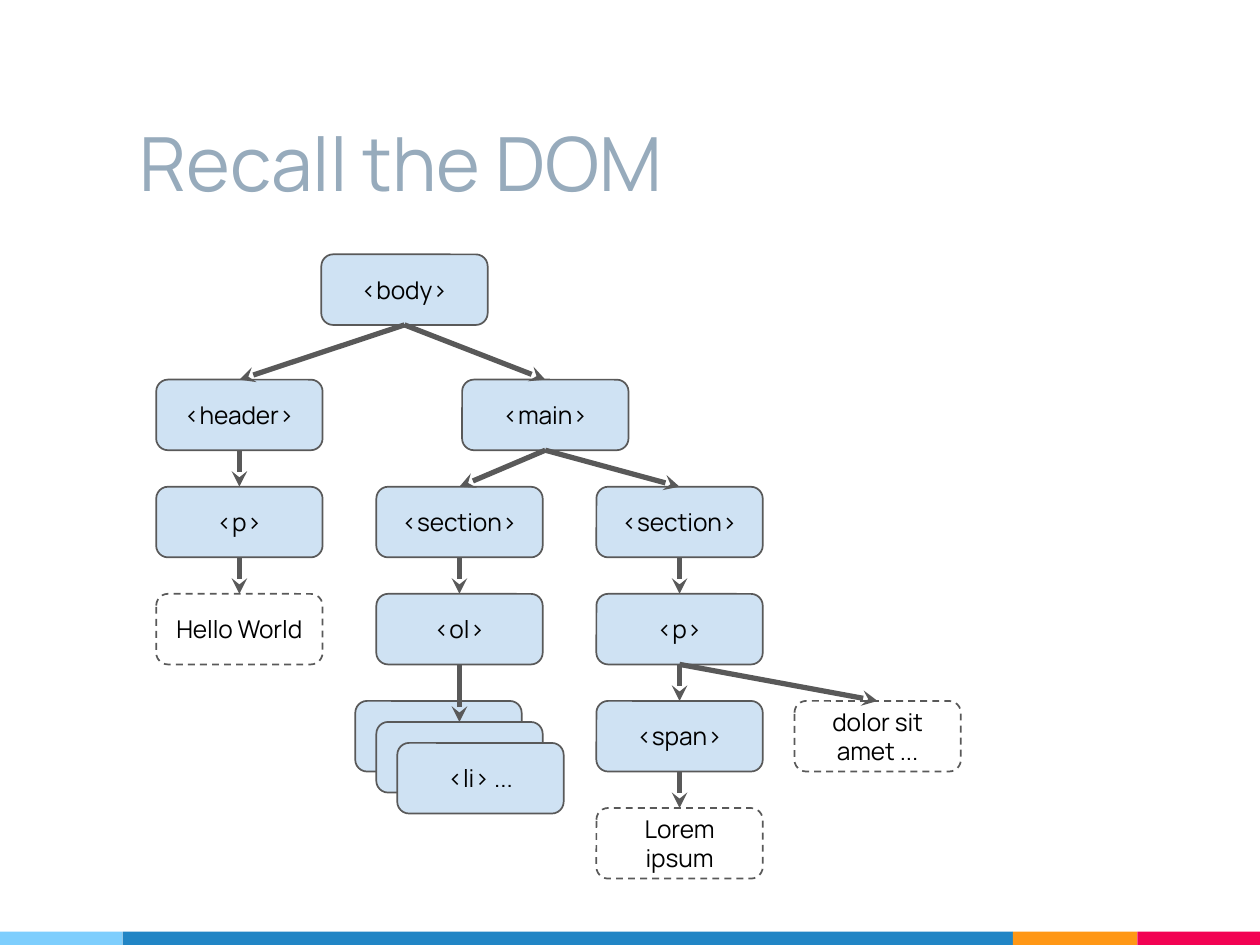
from lxml import etree
from pptx import Presentation
from pptx.dml.color import RGBColor
from pptx.enum.dml import MSO_LINE
from pptx.enum.shapes import MSO_CONNECTOR, MSO_SHAPE
from pptx.enum.text import MSO_ANCHOR, PP_ALIGN
from pptx.oxml.ns import qn
from pptx.util import Inches, Pt

RECTANGLE = MSO_SHAPE.RECTANGLE
ROUNDED = MSO_SHAPE.ROUNDED_RECTANGLE
STRAIGHT = MSO_CONNECTOR.STRAIGHT
DASH = MSO_LINE.DASH
MIDDLE, BOTTOM_ANCHOR = MSO_ANCHOR.MIDDLE, MSO_ANCHOR.BOTTOM
CENTER, LEFT = PP_ALIGN.CENTER, PP_ALIGN.LEFT
TOP_SIDE, BOTTOM_SIDE = 0, 2

SKY = RGBColor(0x7E, 0xCE, 0xFD)
BLUE = RGBColor(0x21, 0x85, 0xC5)
ORANGE = RGBColor(0xFF, 0x97, 0x15)
CRIMSON = RGBColor(0xF2, 0x02, 0x53)
PALE_BLUE = RGBColor(0xCF, 0xE2, 0xF3)
GRAY = RGBColor(0x59, 0x59, 0x59)
SLATE = RGBColor(0x97, 0xAB, 0xBC)
BLACK = RGBColor(0x00, 0x00, 0x00)

FONT = "Manrope"
SLIDE_W = 7.5
SLIDE_H = SLIDE_W * 3 / 4
TREE_LEFT, TREE_TOP = 0.93, 2.26
COLUMN, ROW = 1.31, 2.55 / 4
NODE_W, NODE_H = 0.99, 0.42
STACK_STEP = 1 / 8
BAND_H = 0.08

ELEMENTS = {
    "body": ("<body>", 0.75, -1.17),
    "header": ("<header>", 0, 0),
    "main": ("<main>", 1.39, 0),
    "header p": ("<p>", 0, 1),
    "left section": ("<section>", 1, 1),
    "right section": ("<section>", 2, 1),
    "ol": ("<ol>", 1, 2),
    "section p": ("<p>", 2, 2),
    "span": ("<span>", 2, 3),
}
TEXT_NODES = {
    "hello": ("Hello World", 0, 2),
    "lorem": ("Lorem ipsum", 2, 4),
    "dolor": ("dolor sit amet ...", 2.9, 3),
}
LIST_ITEMS = ["", "", "<li> ..."]
EDGES = [
    ("body", "header"), ("header", "header p"), ("header p", "hello"),
    ("body", "main"), ("main", "left section"), ("left section", "ol"),
    ("ol", "li 1"), ("main", "right section"),
    ("right section", "section p"), ("section p", "span"),
    ("section p", "dolor"), ("span", "lorem"),
]
BANDS = [(SKY, 0, 0.73), (BLUE, 0.73, 6.03), (ORANGE, 6.03, 6.77), (CRIMSON, 6.77, SLIDE_W)]


def style_text(frame, size, color, align, anchor, inset):
    frame.word_wrap = True
    frame.vertical_anchor = anchor
    frame.margin_left = frame.margin_right = Inches(inset)
    frame.margin_top = frame.margin_bottom = Inches(inset)
    for paragraph in frame.paragraphs:
        paragraph.alignment = align
        for run in paragraph.runs:
            run.font.name = FONT
            run.font.size = Pt(size)
            run.font.color.rgb = color


def add_title(slide):
    title = slide.shapes.title
    title.left, title.top = Inches(0.73), Inches(0.39)
    title.width, title.height = Inches(6.22), Inches(0.94)
    title.text_frame.text = "Recall the DOM"
    style_text(title.text_frame, 32, SLATE, LEFT, BOTTOM_ANCHOR, 0.1)


def add_band(slide, color, left, right):
    band = slide.shapes.add_shape(
        RECTANGLE, Inches(left), Inches(SLIDE_H - BAND_H),
        Inches(right - left), Inches(BAND_H))
    band.shadow.inherit = False
    band.fill.solid()
    band.fill.fore_color.rgb = color
    band.line.fill.background()


def add_node(slide, label, column, row, is_text=False):
    node = slide.shapes.add_shape(
        ROUNDED, Inches(TREE_LEFT + column * COLUMN), Inches(TREE_TOP + row * ROW),
        Inches(NODE_W), Inches(NODE_H))
    node.shadow.inherit = False
    node.line.color.rgb = GRAY
    node.line.width = Pt(0.75)
    if is_text:
        node.fill.background()
        node.line.dash_style = DASH
    else:
        node.fill.solid()
        node.fill.fore_color.rgb = PALE_BLUE
    node.text_frame.text = label
    style_text(node.text_frame, 10.5, BLACK, CENTER, MIDDLE, 0.07)
    return node


def add_edge(slide, parent, child):
    edge = slide.shapes.add_connector(STRAIGHT, 0, 0, 0, 0)
    edge.begin_connect(parent, BOTTOM_SIDE)
    edge.end_connect(child, TOP_SIDE)
    edge.line.color.rgb = GRAY
    edge.line.width = Pt(2.25)
    outline = edge._element.spPr.find(qn("a:ln"))
    etree.SubElement(outline, qn("a:tailEnd"), type="stealth")
    etree.SubElement(edge._element.spPr, qn("a:effectLst"))


def add_tree(slide):
    nodes = {}
    for index, label in enumerate(LIST_ITEMS):
        column = 1 + (index - 1) * STACK_STEP / COLUMN
        row = 3 + index * STACK_STEP / ROW
        nodes[f"li {index}"] = add_node(slide, label, column, row)
    for key, spec in ELEMENTS.items():
        nodes[key] = add_node(slide, *spec)
    for key, spec in TEXT_NODES.items():
        nodes[key] = add_node(slide, *spec, is_text=True)
    for parent, child in EDGES:
        add_edge(slide, nodes[parent], nodes[child])


def main():
    deck = Presentation()
    deck.slide_width, deck.slide_height = Inches(SLIDE_W), Inches(SLIDE_H)
    slide = deck.slides.add_slide(deck.slide_layouts[5])
    for band in BANDS:
        add_band(slide, *band)
    add_tree(slide)
    add_title(slide)
    deck.save("out.pptx")


if __name__ == "__main__":
    main()
